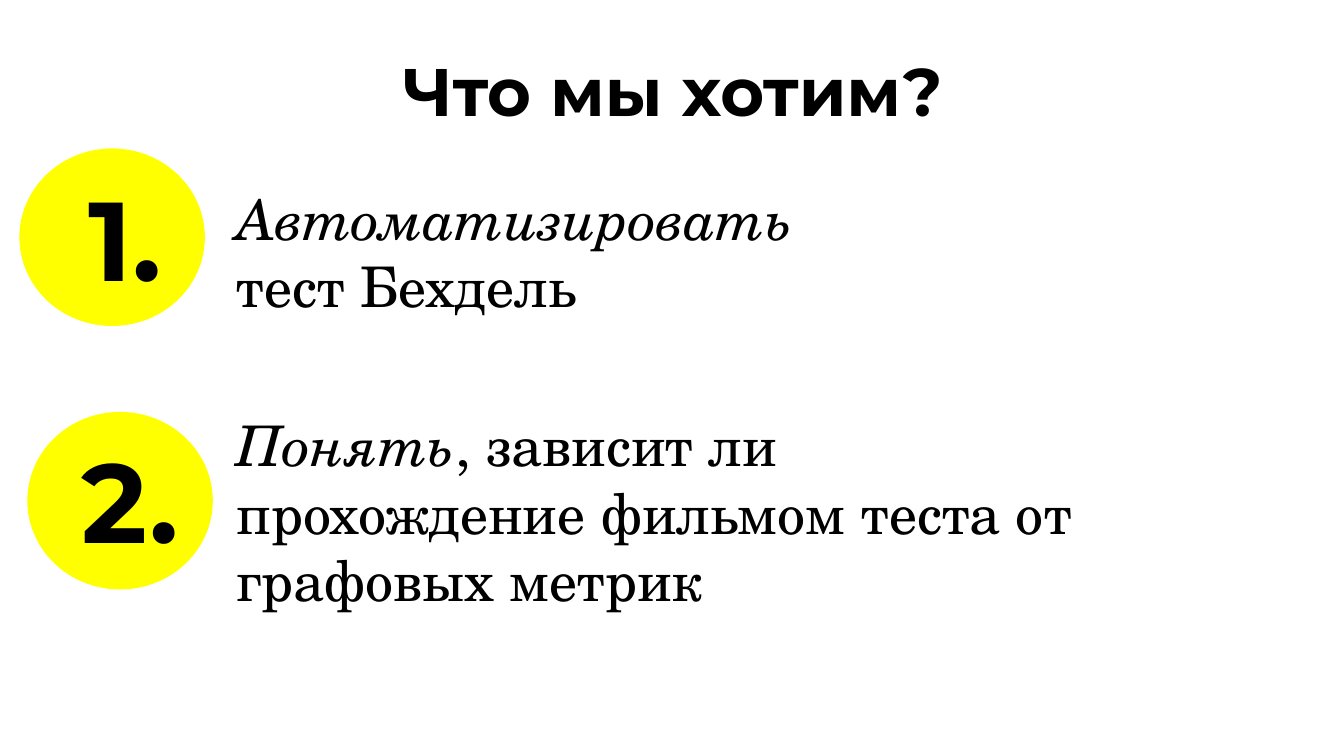
from pptx import Presentation
from pptx.dml.color import RGBColor
from pptx.enum.shapes import MSO_SHAPE
from pptx.enum.text import MSO_ANCHOR, PP_ALIGN
from pptx.util import Cm, Pt

HEADING_FONT = "Montserrat"
BODY_FONT = "TeX Gyre Schola"
INK = "000000"
YELLOW = "FFFF00"
DISC_WIDTH, DISC_HEIGHT = 3.48, 3.33
TEXT_LEFT = 4.22


def colour(value):
    return RGBColor.from_string(value)


def add_text(page, box, spans, font, size, bold=False, align=PP_ALIGN.LEFT):
    """Place one paragraph of (text, italic) spans in a box given in cm."""
    frame = page.shapes.add_textbox(*map(Cm, box)).text_frame
    frame.word_wrap = True
    frame.vertical_anchor = MSO_ANCHOR.TOP
    frame.margin_left = frame.margin_right = Cm(0.25)
    frame.margin_top = frame.margin_bottom = Cm(0.25)
    para = frame.paragraphs[0]
    para.alignment = align
    for text, italic in spans:
        span = para.add_run()
        span.text = text
        span.font.name = font
        span.font.size = Pt(size)
        span.font.bold = bold
        span.font.italic = italic
        span.font.color.rgb = colour(INK)


def add_title(page, box, text):
    add_text(page, box, [(text, False)], HEADING_FONT, 36, True, PP_ALIGN.CENTER)


def add_disc(page, left, top):
    disc = page.shapes.add_shape(
        MSO_SHAPE.OVAL, Cm(left), Cm(top), Cm(DISC_WIDTH), Cm(DISC_HEIGHT))
    disc.shadow.inherit = False
    disc.fill.solid()
    disc.fill.fore_color.rgb = colour(YELLOW)
    disc.line.color.rgb = colour(YELLOW)
    disc.line.width = Pt(0.75)


def add_goal(page, box, number, number_shift, text_shift, spans):
    """Place a numbered disc at the box's left and its text at TEXT_LEFT.

    The box is the disc's left and top, then the text's width and height;
    the shifts move the number and the text from the disc's corner.
    """
    left, top, width, height = box
    shift_x, shift_y = number_shift
    add_disc(page, left, top)
    add_text(page, (left + shift_x, top + shift_y, 3.1, 3.07),
             [(number, False)], HEADING_FONT, 60, True)
    add_text(page, (TEXT_LEFT, top + text_shift, width, height),
             spans, BODY_FONT, 30)


def main():
    deck = Presentation()
    deck.slide_width, deck.slide_height = Cm(25.4), Cm(14.29)
    page = deck.slides.add_slide(deck.slide_layouts[6])
    add_title(page, (2.59, 0.69, 20.24, 2.06), "Что мы хотим?")
    add_goal(page, (0.38, 2.82, 11.53, 3.07), "1.", (1.04, 0.13), 0.41,
             [("Автоматизировать", True), (" тест Бехдель", False)])
    add_goal(page, (0.53, 7.8, 17.35, 4.37), "2.", (0.77, 0.1), -0.28,
             [("Понять", True),
              (", зависит ли прохождение фильмом теста от графовых метрик", False)])
    deck.save("out.pptx")


if __name__ == "__main__":
    main()
